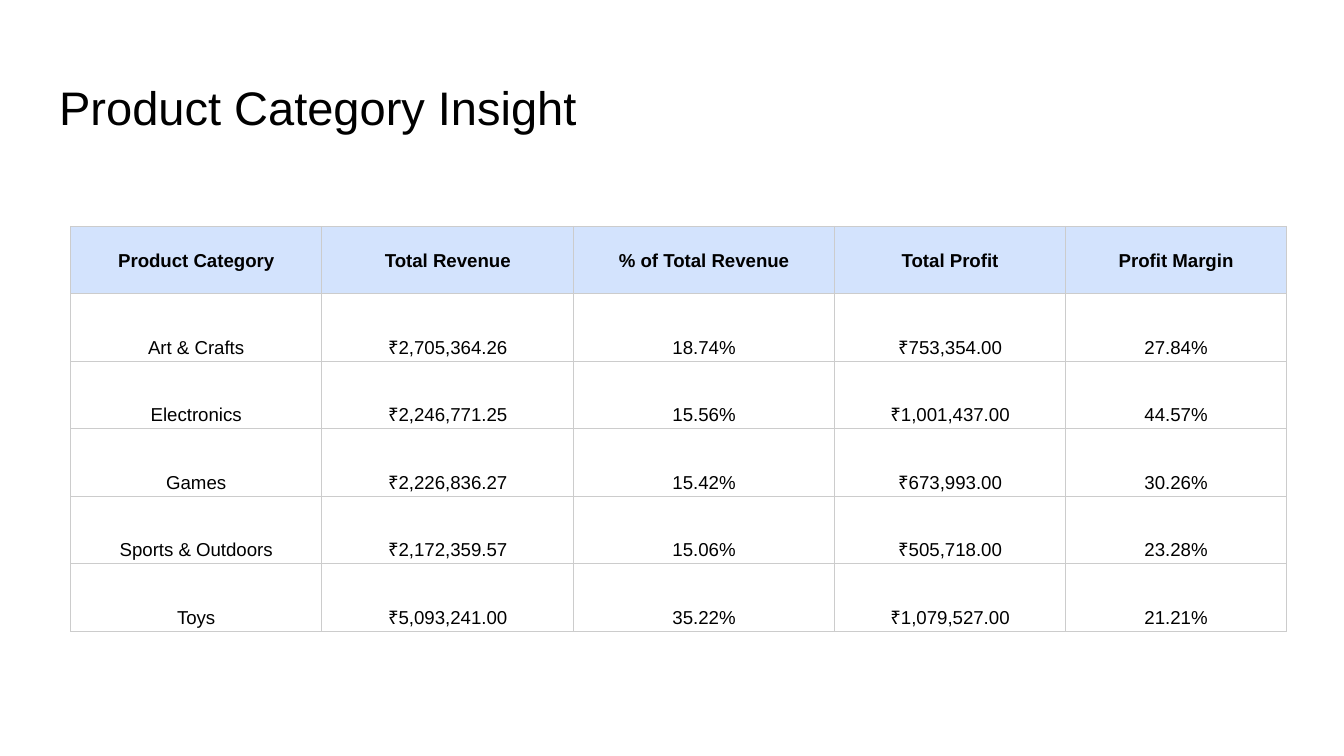
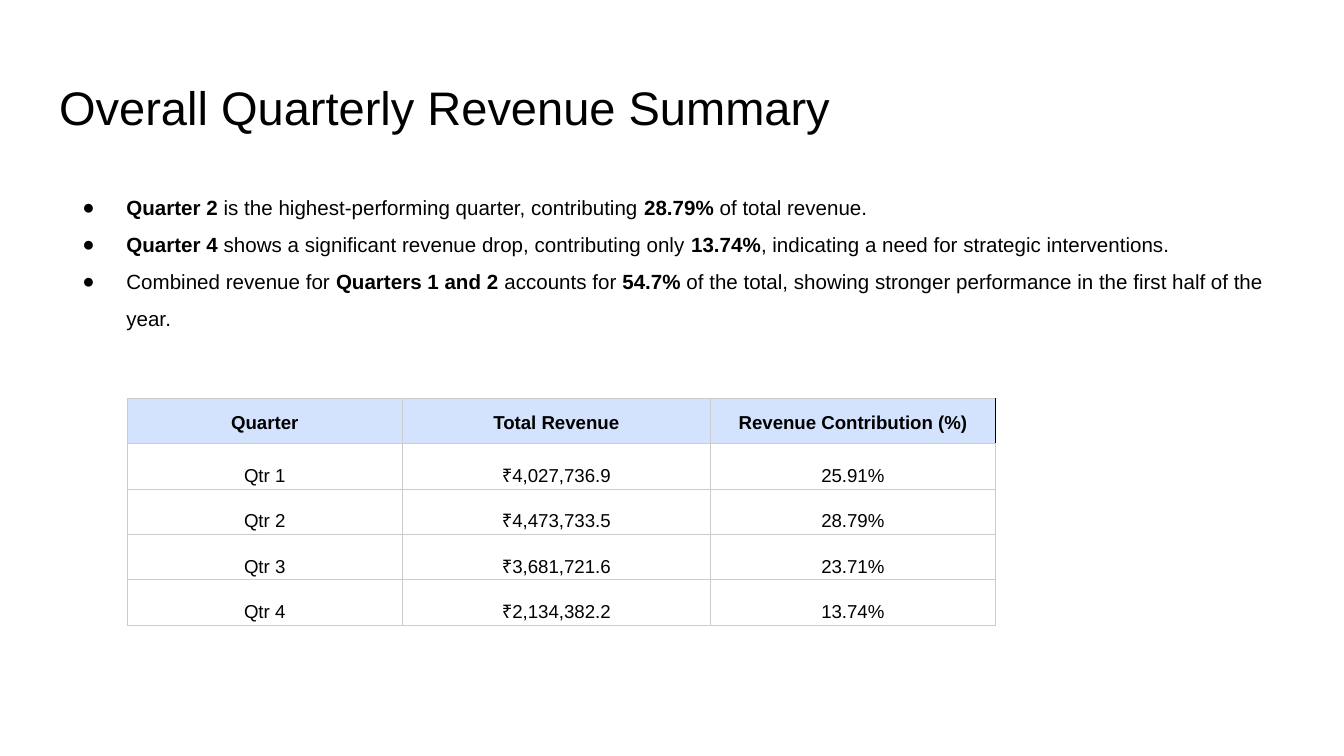
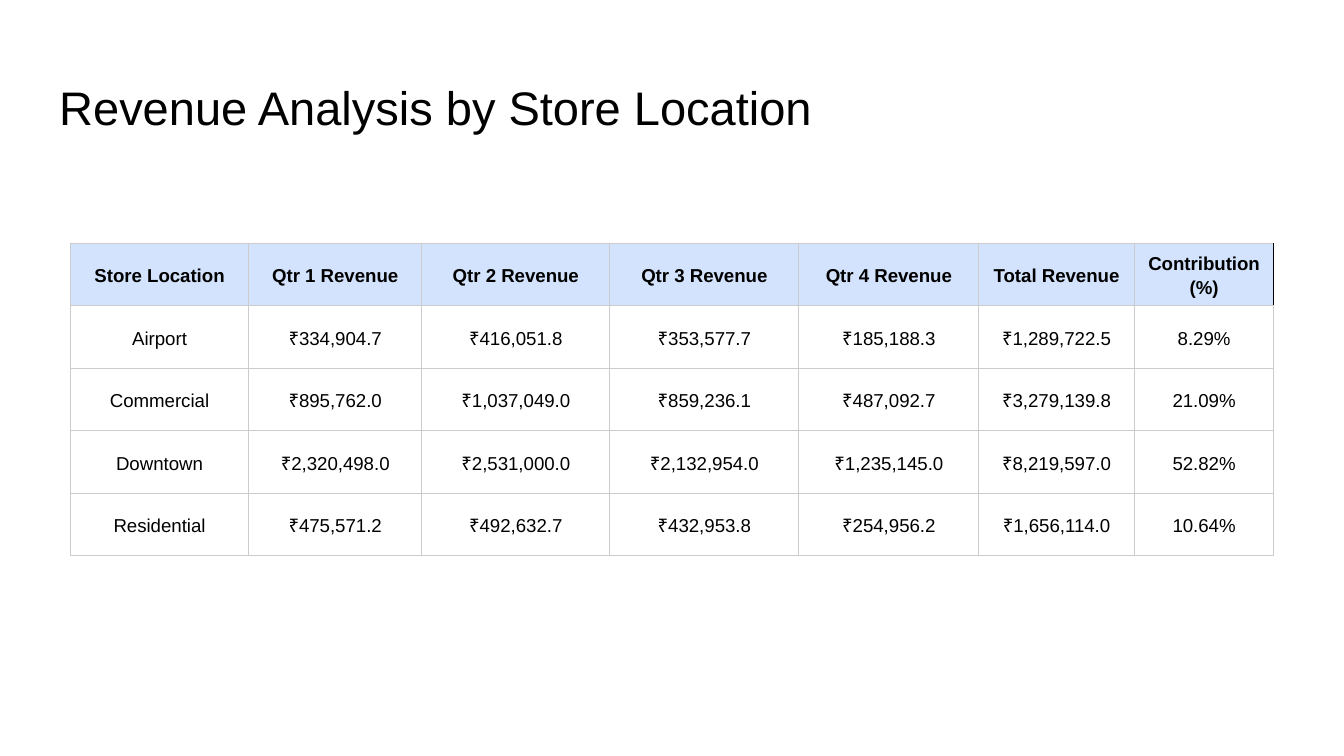
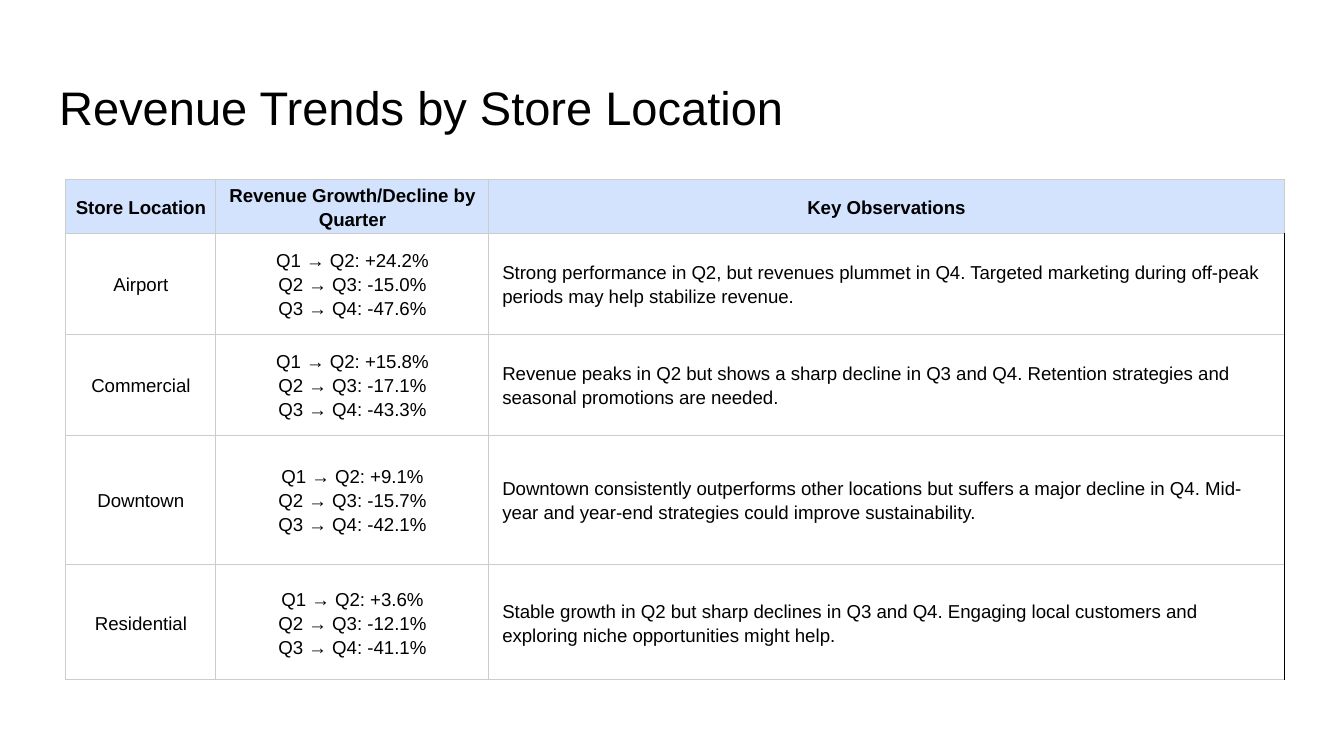
import dataclasses

import lxml.etree
import pptx
import pptx.dml.color
import pptx.enum.text
import pptx.oxml.ns
import pptx.presentation
import pptx.slide
import pptx.table
import pptx.text.text
import pptx.util

Pt = pptx.util.Pt
Alignment = pptx.enum.text.PP_ALIGN
Anchor = pptx.enum.text.MSO_ANCHOR
qualified = pptx.oxml.ns.qn

COLORS = {"text": "000000", "header": "D3E3FD", "border": "CCCCCC", "edge": "000000"}
FONT = "Arial"
TITLE_BOX = (24.5, 35, 671, 45)
BODY_BOX = (24.5, 90.7, 671, 269)
TITLE_ONLY_LAYOUT = 5
TITLE_AND_BODY_LAYOUT = 1
BORDER_WIDTH = 0.6


@dataclasses.dataclass(frozen=True)
class TableSpec:
    left: float
    top: float
    column_widths: tuple[float, ...]
    row_heights: tuple[float, ...]
    rows: tuple[tuple[str, ...], ...]
    body_anchor: Anchor = Anchor.MIDDLE
    dark_edge_cells: tuple[tuple[int, int], ...] = ()
    left_aligned_cells: tuple[tuple[int, int], ...] = ()


@dataclasses.dataclass(frozen=True)
class SlideSpec:
    title: str
    table: TableSpec
    bullets: tuple[str, ...] = ()


OBSERVATION_CELLS = tuple((row, 2) for row in range(1, 5))

SLIDES = (
    SlideSpec(
        "Product Category Insight",
        TableSpec(
            37.8, 121.2, (134.6, 134.9, 139.8, 123.8, 118.4), (36.16,) * 6,
            (
                ("Product Category", "Total Revenue", "% of Total Revenue", "Total Profit", "Profit Margin"),
                ("Art & Crafts", "₹2,705,364.26", "18.74%", "₹753,354.00", "27.84%"),
                ("Electronics", "₹2,246,771.25", "15.56%", "₹1,001,437.00", "44.57%"),
                ("Games", "₹2,226,836.27", "15.42%", "₹673,993.00", "30.26%"),
                ("Sports & Outdoors", "₹2,172,359.57", "15.06%", "₹505,718.00", "23.28%"),
                ("Toys", "₹5,093,241.00", "35.22%", "₹1,079,527.00", "21.21%"),
            ),
            body_anchor=Anchor.BOTTOM,
        ),
    ),
    SlideSpec(
        "Overall Quarterly Revenue Summary",
        TableSpec(
            68.2, 213.5, (147.2, 165.2, 152.6), (24.3,) * 5,
            (
                ("Quarter", "Total Revenue", "Revenue Contribution (%)"),
                ("Qtr 1", "₹4,027,736.9", "25.91%"),
                ("Qtr 2", "₹4,473,733.5", "28.79%"),
                ("Qtr 3", "₹3,681,721.6", "23.71%"),
                ("Qtr 4", "₹2,134,382.2", "13.74%"),
            ),
            body_anchor=Anchor.BOTTOM,
            dark_edge_cells=((0, 2),),
        ),
        (
            "**Quarter 2** is the highest-performing quarter, contributing **28.79%** of total revenue.",
            "**Quarter 4** shows a significant revenue drop, contributing only **13.74%**, "
            "indicating a need for strategic interventions.",
            "Combined revenue for **Quarters 1 and 2** accounts for **54.7%** of the total, "
            "showing stronger performance in the first half of the year.",
        ),
    ),
    SlideSpec(
        "Revenue Analysis by Store Location",
        TableSpec(
            37.7, 130.3, (95.5, 92.7, 100.8, 101.2, 96.5, 83.2, 74.9), (33.53,) * 5,
            (
                ("Store Location", "Qtr 1 Revenue", "Qtr 2 Revenue", "Qtr 3 Revenue", "Qtr 4 Revenue",
                 "Total Revenue", "Contribution (%)"),
                ("Airport", "₹334,904.7", "₹416,051.8", "₹353,577.7", "₹185,188.3", "₹1,289,722.5", "8.29%"),
                ("Commercial", "₹895,762.0", "₹1,037,049.0", "₹859,236.1", "₹487,092.7", "₹3,279,139.8", "21.09%"),
                ("Downtown", "₹2,320,498.0", "₹2,531,000.0", "₹2,132,954.0", "₹1,235,145.0", "₹8,219,597.0",
                 "52.82%"),
                ("Residential", "₹475,571.2", "₹492,632.7", "₹432,953.8", "₹254,956.2", "₹1,656,114.0", "10.64%"),
            ),
            dark_edge_cells=((0, 6),),
        ),
    ),
    SlideSpec(
        "Revenue Trends by Store Location",
        TableSpec(
            35.2, 96.2, (80.5, 146.2, 426), (24.5, 54.1, 54.1, 69.4, 61.7),
            (
                ("Store Location", "Revenue Growth/Decline by Quarter", "Key Observations"),
                ("Airport", "Q1 → Q2: +24.2%\nQ2 → Q3: -15.0%\nQ3 → Q4: -47.6%",
                 "Strong performance in Q2, but revenues plummet in Q4. Targeted marketing during "
                 "off-peak periods may help stabilize revenue."),
                ("Commercial", "Q1 → Q2: +15.8%\nQ2 → Q3: -17.1%\nQ3 → Q4: -43.3%",
                 "Revenue peaks in Q2 but shows a sharp decline in Q3 and Q4. Retention strategies "
                 "and seasonal promotions are needed."),
                ("Downtown", "Q1 → Q2: +9.1%\nQ2 → Q3: -15.7%\nQ3 → Q4: -42.1%",
                 "Downtown consistently outperforms other locations but suffers a major decline in Q4. "
                 "Mid-year and year-end strategies could improve sustainability."),
                ("Residential", "Q1 → Q2: +3.6%\nQ2 → Q3: -12.1%\nQ3 → Q4: -41.1%",
                 "Stable growth in Q2 but sharp declines in Q3 and Q4. Engaging local customers and "
                 "exploring niche opportunities might help."),
            ),
            dark_edge_cells=OBSERVATION_CELLS,
            left_aligned_cells=OBSERVATION_CELLS,
        ),
    ),
)


def rgb(name: str) -> pptx.dml.color.RGBColor:
    return pptx.dml.color.RGBColor.from_string(COLORS[name])


def format_runs(paragraph: pptx.text.text._Paragraph, size: float, bold: bool = False) -> None:
    for run in paragraph.runs:
        run.font.name = FONT
        run.font.size = Pt(size)
        run.font.bold = bold
        run.font.color.rgb = rgb("text")


def place_placeholder(shape, box: tuple[float, ...]) -> pptx.text.text.TextFrame:
    shape.left, shape.top, shape.width, shape.height = map(Pt, box)
    text_frame = shape.text_frame
    text_frame.margin_left = text_frame.margin_right = Pt(7.2)
    text_frame.margin_top = text_frame.margin_bottom = Pt(7.2)
    text_frame.word_wrap = True
    text_frame.auto_size = pptx.enum.text.MSO_AUTO_SIZE.NONE
    text_frame.vertical_anchor = Anchor.TOP
    return text_frame


def add_title(slide: pptx.slide.Slide, title: str) -> None:
    text_frame = place_placeholder(slide.shapes.title, TITLE_BOX)
    text_frame.text = title
    paragraph = text_frame.paragraphs[0]
    paragraph.alignment = Alignment.LEFT
    format_runs(paragraph, 25.2)


def add_color(parent, name: str) -> None:
    lxml.etree.SubElement(parent, qualified("a:srgbClr"), val=COLORS[name])


def add_bullet_mark(paragraph: pptx.text.text._Paragraph) -> None:
    properties = paragraph._p.get_or_add_pPr()
    properties.set("marL", str(Pt(36)))
    properties.set("indent", str(-Pt(23.5)))
    add_color(lxml.etree.SubElement(properties, qualified("a:buClr")), "text")
    lxml.etree.SubElement(properties, qualified("a:buFont"), typeface=FONT)
    lxml.etree.SubElement(properties, qualified("a:buChar"), char="●")


def add_bullets(slide: pptx.slide.Slide, bullets: tuple[str, ...]) -> None:
    text_frame = place_placeholder(slide.placeholders[1], BODY_BOX)
    for index, bullet in enumerate(bullets):
        paragraph = text_frame.add_paragraph() if index else text_frame.paragraphs[0]
        paragraph.line_spacing = 1.5
        paragraph.space_before = Pt(0 if index else 12)
        add_bullet_mark(paragraph)
        parts = bullet.split("**")
        for part in parts:
            if part:
                paragraph.add_run().text = part
        format_runs(paragraph, 11)
        for run in paragraph.runs:
            run.font.bold = run.text in parts[1::2]


def set_borders(cell: pptx.table._Cell, dark_edge: bool) -> None:
    properties = cell._tc.get_or_add_tcPr()
    for side in ("L", "R", "T", "B"):
        line = lxml.etree.SubElement(properties, qualified(f"a:ln{side}"), w=str(Pt(BORDER_WIDTH)))
        fill = lxml.etree.SubElement(line, qualified("a:solidFill"))
        add_color(fill, "edge" if dark_edge and side == "R" else "border")


def fill_cell(cell: pptx.table._Cell, text: str, position: tuple[int, int], spec: TableSpec) -> None:
    is_header = position[0] == 0
    dark_edge = position in spec.dark_edge_cells
    cell.text_frame.text = text
    cell.margin_left = cell.margin_right = Pt(7.2 if dark_edge else 2)
    cell.margin_top = cell.margin_bottom = Pt(1.5)
    cell.vertical_anchor = Anchor.MIDDLE if is_header else spec.body_anchor
    set_borders(cell, dark_edge)
    if is_header:
        cell.fill.solid()
        cell.fill.fore_color.rgb = rgb("header")
    else:
        cell.fill.background()
    for paragraph in cell.text_frame.paragraphs:
        paragraph.alignment = Alignment.LEFT if position in spec.left_aligned_cells else Alignment.CENTER
        paragraph.line_spacing = 1.15
        format_runs(paragraph, 10, is_header)


def add_data_table(slide: pptx.slide.Slide, spec: TableSpec) -> None:
    table = slide.shapes.add_table(
        len(spec.row_heights), len(spec.column_widths), Pt(spec.left), Pt(spec.top),
        Pt(sum(spec.column_widths)), Pt(sum(spec.row_heights)),
    ).table
    table.first_row = table.horz_banding = False
    for column, width in zip(table.columns, spec.column_widths):
        column.width = Pt(width)
    for row, height in zip(table.rows, spec.row_heights):
        row.height = Pt(height)
    for row_index, texts in enumerate(spec.rows):
        for column_index, text in enumerate(texts):
            fill_cell(table.cell(row_index, column_index), text, (row_index, column_index), spec)


def add_slide(presentation: pptx.presentation.Presentation, spec: SlideSpec) -> None:
    layout = TITLE_AND_BODY_LAYOUT if spec.bullets else TITLE_ONLY_LAYOUT
    slide = presentation.slides.add_slide(presentation.slide_layouts[layout])
    add_title(slide, spec.title)
    if spec.bullets:
        add_bullets(slide, spec.bullets)
    add_data_table(slide, spec.table)


def main() -> None:
    presentation = pptx.Presentation()
    presentation.slide_width = Pt(720)
    presentation.slide_height = Pt(405)
    for spec in SLIDES:
        add_slide(presentation, spec)
    presentation.save("out.pptx")


if __name__ == "__main__":
    main()
